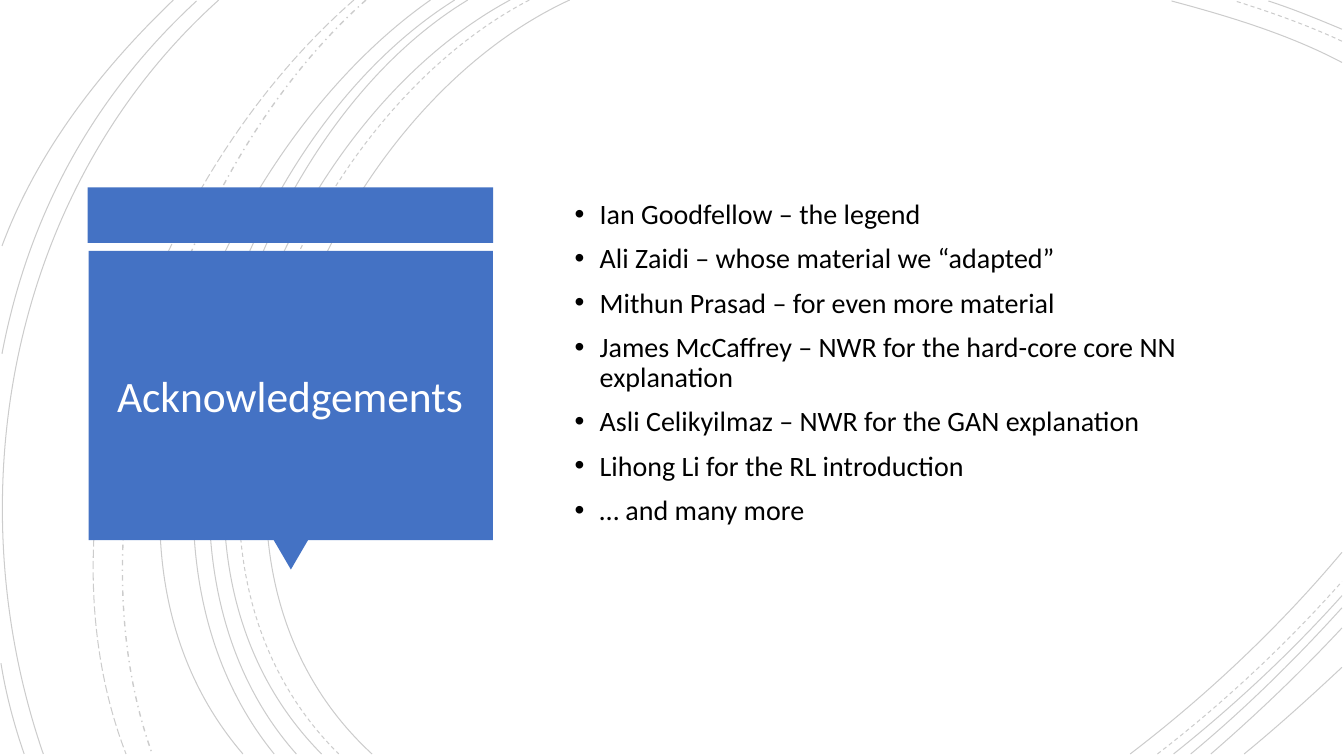
from lxml import etree
from pptx import Presentation
from pptx.dml.color import RGBColor
from pptx.enum.dml import MSO_LINE
from pptx.enum.shapes import MSO_SHAPE
from pptx.enum.text import MSO_ANCHOR, MSO_AUTO_SIZE, PP_ALIGN
from pptx.oxml.ns import qn
from pptx.util import Cm, Pt

RECTANGLE = MSO_SHAPE.RECTANGLE
TRIANGLE = MSO_SHAPE.ISOSCELES_TRIANGLE
SOLID = MSO_LINE.SOLID
DASH = MSO_LINE.DASH
LONG_DASH = MSO_LINE.LONG_DASH
DASH_DOT = MSO_LINE.DASH_DOT
MIDDLE = MSO_ANCHOR.MIDDLE
CENTER = PP_ALIGN.CENTER
NO_AUTOFIT = MSO_AUTO_SIZE.NONE
TITLE_ONLY = 5

BLUE = RGBColor(0x44, 0x72, 0xC4)
WHITE = RGBColor(0xFF, 0xFF, 0xFF)
BLACK = RGBColor(0x00, 0x00, 0x00)
FONT = "Calibri"

CM_PER_INCH = 2.54
BOTTOM = 7.48
RIGHT = 13.31

SWEEPS = [
    (5.65, (3.15, 1.15), (1.43, 5.4), 3.69, SOLID, 0.75),
    (5.25, (2.85, 1.25), (1.23, 5.37), 3.36, DASH, 0.75),
    (5.06, (2.7, 1.27), (1.1, 5.37), 3.19, SOLID, 0.75),
    (4.64, (2.44, 1.33), (1.1, 5.41), 2.94, SOLID, 0.75),
    (4.51, (2.31, 1.38), (0.97, 5.33), 2.72, SOLID, 0.75),
    (4.27, (2.17, 1.47), (0.53, 5.29), 2.41, SOLID, 0.75),
    (3.63, (1.76, 1.66), (0.65, 5.09), 1.51, DASH_DOT, 1),
    (3.51, (1.57, 1.69), (0.29, 4.99), 1.25, LONG_DASH, 0.75),
    (2.17, (0.11, 1.85), (-0.46, 4.9), 0.43, SOLID, 0.75),
]
TOP_RIGHT_ARCS = [
    (0.62, (12.78, 0.34), (12.18, 0.16), 11.62, SOLID),
    (0.41, (12.97, 0.25), (12.6, 0.12), 12.25, DASH),
    (0.29, (13.07, 0.19), (12.83, 0.09), 12.58, SOLID),
]
BOTTOM_RIGHT_ARCS = [
    (11.21, (11.97, 6.9), (12.69, 6.22), 5.48, SOLID),
    (11.48, (12.13, 6.98), (12.75, 6.4), 5.77, DASH),
    (11.64, (12.23, 7.01), (12.8, 6.48), 5.91, SOLID),
    (11.81, (12.34, 7.04), (12.84, 6.55), 6.03, SOLID),
    (12.01, (12.46, 7.09), (12.9, 6.67), 6.23, SOLID),
    (12.34, (12.67, 7.21), (12.99, 6.92), 6.62, SOLID),
]
LEFT_ARCS = [
    ((1.95, 0.01), (0.92, 0.96), (0.28, 2.14), (0.02, 3.51)),
    ((0.01, 6.58), (0.06, 6.89), (0.14, 7.19), (0.24, BOTTOM)),
    ((1.72, 0), (1, 0.69), (0.37, 1.5), (0.02, 2.44)),
]
THANKS = [
    "Ian Goodfellow – the legend",
    "Ali Zaidi – whose material we “adapted”",
    "Mithun Prasad – for even more material",
    "James McCaffrey – NWR for the hard-core core NN explanation",
    "Asli Celikyilmaz – NWR for the GAN explanation",
    "Lihong Li for the RL introduction",
    "… and many more",
]


def inches(value):
    return Cm(value * CM_PER_INCH)


def bend_segments(curve):
    segments = list(curve.element.iter(qn("a:lnTo")))
    bezier = etree.SubElement(segments[0].getparent(), qn("a:cubicBezTo"))
    for segment in segments:
        bezier.append(segment[0])
        segment.getparent().remove(segment)


def add_curve(page, corners, dash=SOLID, width=0.75):
    points = [(inches(x), inches(y)) for x, y in corners]
    builder = page.shapes.build_freeform(*points[0])
    builder.add_line_segments(points[1:], close=False)
    curve = builder.convert_to_shape()
    bend_segments(curve)
    curve.shadow.inherit = False
    curve.fill.background()
    curve.line.color.rgb = BLACK
    curve.line.width = Pt(width)
    curve.line.dash_style = dash
    color = next(curve.element.iter(qn("a:srgbClr")))
    etree.SubElement(color, qn("a:alpha"), val="20000")


def add_background_curves(page):
    for top, first, second, bottom, dash, width in SWEEPS:
        add_curve(page, ((top, 0), first, second, (bottom, BOTTOM)), dash, width)
    for side, first, second, top, dash in TOP_RIGHT_ARCS:
        add_curve(page, ((RIGHT, side), first, second, (top, 0.01)), dash)
    for bottom, first, second, side, dash in BOTTOM_RIGHT_ARCS:
        add_curve(page, ((bottom, BOTTOM), first, second, (RIGHT, side)), dash)
    for corners in LEFT_ARCS:
        add_curve(page, corners)


def add_block(page, kind, left, top, width, height, rotation=0):
    block = page.shapes.add_shape(kind, *map(inches, (left, top, width, height)))
    block.shadow.inherit = False
    block.fill.solid()
    block.fill.fore_color.rgb = BLUE
    block.line.fill.background()
    block.rotation = rotation


def prepare_frame(box):
    frame = box.text_frame
    frame.word_wrap = True
    frame.auto_size = NO_AUTOFIT
    frame.vertical_anchor = MIDDLE
    return frame


def format_para(para, size, color):
    para.line_spacing = 0.9
    for span in para.runs:
        span.font.name = FONT
        span.font.size = Pt(size)
        span.font.color.rgb = color


def place_title(page, text):
    title = page.shapes.title
    title.left, title.top, title.width, title.height = map(
        inches, (0.99, 2.64, 3.77, 2.62)
    )
    frame = prepare_frame(title)
    frame.text = text
    para = frame.paragraphs[0]
    para.alignment = CENTER
    format_para(para, 31, WHITE)
    title.element.getparent().append(title.element)


def add_bullets(page, lines):
    box = page.shapes.add_textbox(*map(inches, (5.6, 0.88, 6.87, 5.74)))
    frame = prepare_frame(box)
    frame.margin_bottom = inches(0.34)
    frame.text = "\n".join(lines)
    for para in frame.paragraphs:
        format_para(para, 20, BLACK)
        para.space_before = Pt(10)
        properties = para._p.get_or_add_pPr()
        properties.set("marL", str(inches(0.25)))
        properties.set("indent", str(-inches(0.25)))
        etree.SubElement(properties, qn("a:buFont"), typeface="Arial")
        etree.SubElement(properties, qn("a:buChar"), char="•")


def main():
    deck = Presentation()
    deck.slide_width = inches(13.33)
    deck.slide_height = inches(7.5)
    page = deck.slides.add_slide(deck.slide_layouts[TITLE_ONLY])
    add_background_curves(page)
    add_block(page, RECTANGLE, 0.87, 1.86, 4.02, 0.55)
    add_block(page, TRIANGLE, 2.71, 5.35, 0.35, 0.3, 180)
    add_block(page, RECTANGLE, 0.88, 2.49, 4.01, 2.87)
    place_title(page, "Acknowledgements")
    add_bullets(page, THANKS)
    deck.save("out.pptx")


if __name__ == "__main__":
    main()
